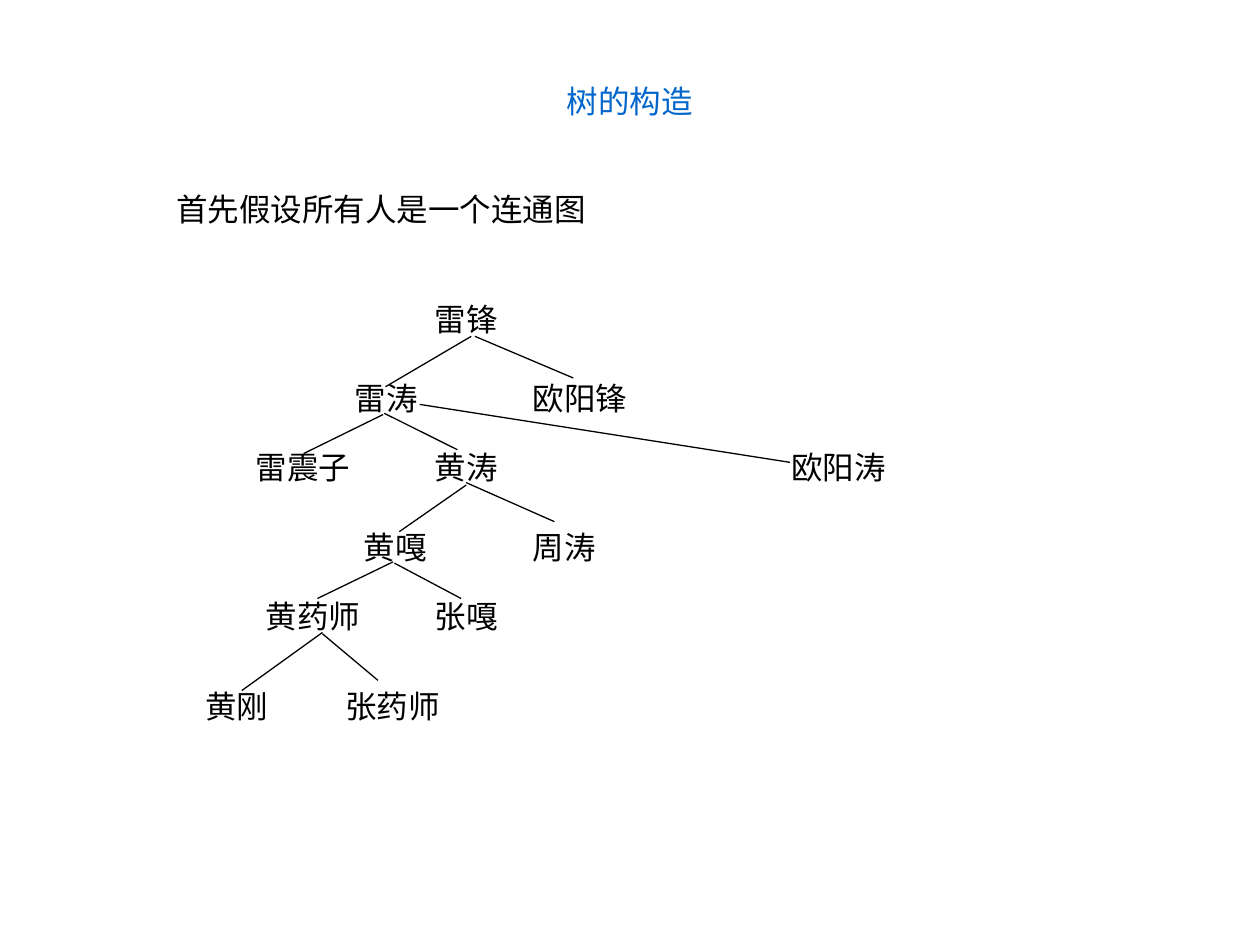
"""Draw a family tree of linked names under a title and a lead line."""
from typing import NamedTuple

import pptx
import pptx.dml.color
import pptx.enum.shapes
import pptx.enum.text
import pptx.oxml
import pptx.oxml.ns
import pptx.util

Pt = pptx.util.Pt
INK = "000000"
BLUE = "0066CC"


class Label(NamedTuple):
    text: str
    left: float
    top: float
    width: float


class Link(NamedTuple):
    x1: float
    y1: float
    x2: float
    y2: float


ROWS = [167.76, 213.12, 252.72, 298.08, 337.68, 388.8]

LABELS = [
    Label("首先假设所有人是一个连通图", 93.6, 105.1, 289.4),
    Label("雷锋", 241.2, ROWS[0], 73.4),
    Label("雷涛", 195.8, ROWS[1], 62.6),
    Label("欧阳锋", 297.4, ROWS[1], 96.5),
    Label("雷震子", 139, ROWS[2], 73.4),
    Label("黄涛", 241.2, ROWS[2], 73.4),
    Label("欧阳涛", 445, ROWS[2], 85),
    Label("黄嘎", 200.9, ROWS[3], 73.4),
    Label("周涛", 297.4, ROWS[3], 73.4),
    Label("黄药师", 144.7, ROWS[4], 73.4),
    Label("张嘎", 241.2, ROWS[4], 73.4),
    Label("黄刚", 110.2, ROWS[5], 56.9),
    Label("张药师", 190.1, ROWS[5], 79.2),
]

LINKS = [
    Link(269.3, 192.2, 220.3, 221),
    Link(271.4, 192.2, 327.6, 216),
    Link(218.9, 236.9, 173.5, 259.2),
    Link(219.6, 236.2, 261.4, 257),
    Link(239.8, 231.1, 451.4, 264.2),
    Link(266.4, 277.2, 228.2, 303.8),
    Link(266.4, 275.8, 316.8, 298.1),
    Link(224.6, 321.1, 181.4, 342),
    Link(225.4, 321.8, 263.5, 342),
    Link(184.3, 361.4, 138.2, 394.6),
    Link(184.3, 362.2, 216, 388.8),
]


def color(code: str) -> pptx.dml.color.RGBColor:
    return pptx.dml.color.RGBColor.from_string(code)


def style(para, face: str, code: str) -> None:
    para.font.name = face
    para.font.size = Pt(18)
    para.font.color.rgb = color(code)


def draw_title(slide, text: str) -> None:
    shape = slide.shapes.title
    shape.left, shape.top = Pt(269.3), Pt(43.2)
    shape.width, shape.height = Pt(181.4), Pt(41.8)
    frame = shape.text_frame
    frame.text = text
    frame.word_wrap = False
    frame.auto_size = pptx.enum.text.MSO_AUTO_SIZE.NONE
    frame.vertical_anchor = pptx.enum.text.MSO_ANCHOR.TOP
    para = frame.paragraphs[0]
    para.alignment = pptx.enum.text.PP_ALIGN.CENTER
    style(para, "Noto Sans CJK SC", BLUE)


def draw_label(slide, label: Label) -> None:
    box = slide.shapes.add_textbox(
        Pt(label.left), Pt(label.top), Pt(label.width), Pt(28.8))
    frame = box.text_frame
    frame.text = label.text
    frame.word_wrap = True
    frame.auto_size = pptx.enum.text.MSO_AUTO_SIZE.SHAPE_TO_FIT_TEXT
    style(frame.paragraphs[0], "Arial", INK)


def draw_link(slide, link: Link) -> None:
    line = slide.shapes.add_connector(
        pptx.enum.shapes.MSO_CONNECTOR.STRAIGHT, *map(Pt, link))
    line.line.color.rgb = color(INK)
    line.line.width = Pt(0.75)
    props = line._element.spPr
    props.append(pptx.oxml.parse_xml(
        f"<a:effectLst {pptx.oxml.ns.nsdecls('a')}/>"))


def main() -> None:
    deck = pptx.Presentation()
    deck.slide_width, deck.slide_height = Pt(720), Pt(540)
    slide = deck.slides.add_slide(deck.slide_layouts.get_by_name("Title Only"))
    draw_title(slide, "树的构造")
    for label in LABELS:
        draw_label(slide, label)
    for link in LINKS:
        draw_link(slide, link)
    deck.save("out.pptx")


if __name__ == "__main__":
    main()
